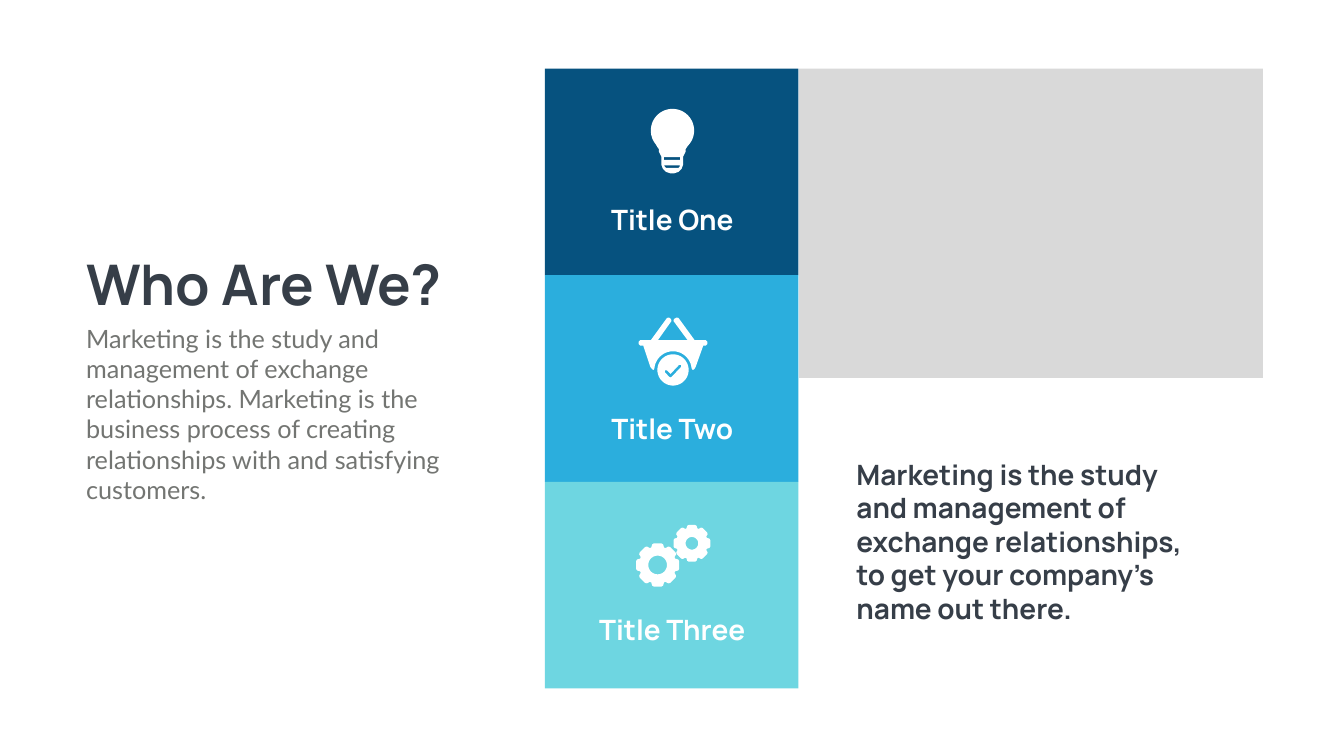
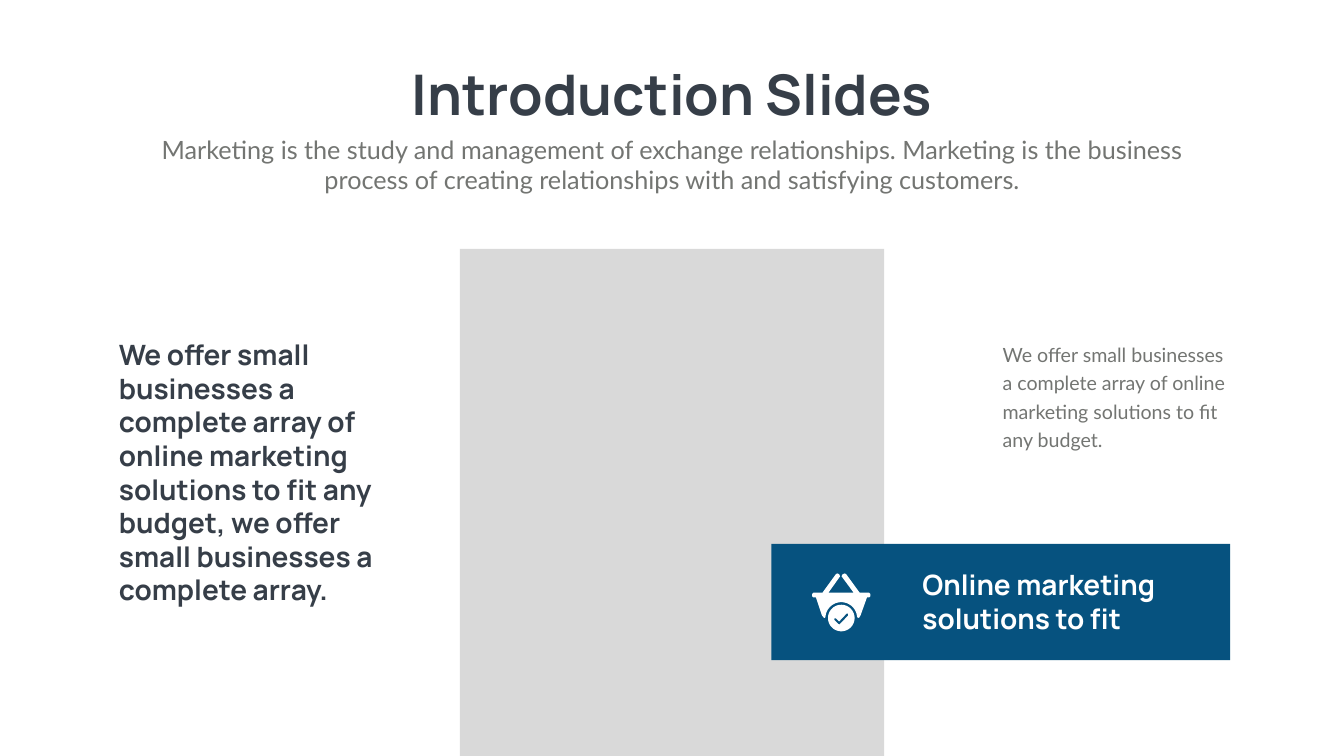
"""Build two introduction slides with colour panels, icons and text."""
from math import cos, radians, sin

from pptx import Presentation
from pptx.dml.color import RGBColor
from pptx.enum.shapes import MSO_SHAPE
from pptx.enum.text import MSO_ANCHOR, MSO_AUTO_SIZE, PP_ALIGN
from pptx.util import Pt

PX = 9144
NAVY, BLUE, AQUA = "06527F", "2BAEDD", "6ED6E1"
WHITE, DARK, GREY, PALE = "FFFFFF", "363E48", "737572", "D9D9D9"
HEAD, BODY = "Manrope", "Lato"
LEFT, MID = PP_ALIGN.LEFT, PP_ALIGN.CENTER


def paint(fill, color):
    fill.solid()
    fill.fore_color.rgb = RGBColor.from_string(color)


def arc(x, y, radius, start=0, stop=360):
    return [(x + radius * cos(radians(a)), y + radius * sin(radians(a)))
            for a in range(start, stop, 5)]


deck = Presentation()
deck.slide_width, deck.slide_height = 2666 * PX, 1500 * PX
about = deck.slides.add_slide(deck.slide_layouts[5])
intro = deck.slides.add_slide(deck.slide_layouts[5])

blocks = [(about, (1081, 136 + 410 * i, 503, 410), color)
          for i, color in enumerate((NAVY, BLUE, AQUA))]
blocks += [
    (about, (1585, 136, 920, 614), PALE),
    (intro, (912, 494, 842, 1006), PALE),
    (intro, (1530, 1079, 910, 231), NAVY),
]
for slide, box, color in blocks:
    block = slide.shapes.add_shape(MSO_SHAPE.RECTANGLE, *[n * PX for n in box])
    block.shadow.inherit = False
    block.line.fill.background()
    paint(block.fill, color)

bulb = [
    arc(43, 43, 43, 140, 401) + [
        (73, 74), (69, 80), (69, 85), (64, 95), (64, 111), (61, 119),
        (55, 125), (46, 128), (39, 128), (30, 125), (24, 119), (21, 111),
        (21, 95), (16, 85), (16, 80), (12, 74)],
    [(26, 96), (58, 96), (58, 101), (26, 101)],
    [(26, 112), (58, 112), (57, 115), (55, 117), (30, 117), (28, 115)],
]
basket = [
    [(133, 46), (111, 46), (79, 2), (75, 1), (70, 4), (69, 8), (97, 46),
     (38, 46), (65, 8), (64, 4), (60, 1), (56, 2), (24, 46), (3, 46),
     (0, 49), (0, 54), (3, 57), (9, 57), (23, 99), (27, 104), (30, 105)]
    + arc(68, 105, 37, 185, 356)
    + [(107, 105), (110, 104), (113, 99), (128, 57), (133, 57),
       (136, 54), (136, 49)],
]
check = [
    arc(68, 105, 31),
    [(84, 99), (65, 119), (63, 120), (61, 119), (52, 110), (52, 106),
     (56, 106), (63, 113), (80, 95), (84, 95)],
]
gears = []
for x, y, rim, hole in ((43.5, 80, 43.5, 18.5), (111.5, 37, 37, 12.5)):
    teeth = []
    for turn in range(0, 360, 45):
        for ratio, angle in ((0.85, -20), (0.97, -15), (1, -10),
                             (1, 10), (0.97, 15), (0.85, 20)):
            teeth += arc(x, y, rim * ratio, turn + angle, turn + angle + 1)
    gears += [teeth, arc(x, y, hole)]

icons = [
    (about, 1291, 216, 1, bulb),
    (about, 1261, 1041, 1, gears),
    (about, 1267, 629, 1, basket),
    (about, 1267, 629, 1, check),
    (intro, 1611, 1137, 0.85, basket),
    (intro, 1611, 1137, 0.85, check),
]
for slide, left, top, zoom, loops in icons:
    pen = None
    for loop in loops:
        points = [(x * 10, y * 10) for x, y in loop]
        if pen is None:
            pen = slide.shapes.build_freeform(*points[0], scale=PX * zoom / 10)
        else:
            pen.move_to(*points[0])
        pen.add_line_segments(points[1:], close=True)
    icon = pen.convert_to_shape(left * PX, top * PX)
    icon.shadow.inherit = False
    icon.line.fill.background()
    paint(icon.fill, WHITE)

pitch = ("Marketing is the study and management of exchange relationships. "
         "Marketing is the business process of creating relationships with "
         "and satisfying customers.")
offer = ("We offer small businesses a complete array of online marketing "
         "solutions to fit any budget")
texts = [
    (about, (161, 490, 780, 145), "Who Are We?", 80, HEAD, DARK, LEFT),
    (about, (161, 636, 780, 374), pitch, 36, BODY, GREY, LEFT),
    (about, (1103, 397, 461, 77), "Title One", 40, HEAD, WHITE, MID),
    (about, (1103, 812, 461, 77), "Title Two", 40, HEAD, WHITE, MID),
    (about, (1103, 1210, 461, 77), "Title Three", 40, HEAD, WHITE, MID),
    (about, (1689, 902, 710, 347),
     "Marketing is the study and management of exchange relationships, "
     "to get your company’s name out there.", 40, HEAD, DARK, LEFT),
    (intro, (780, 114, 1107, 145), "Introduction Slides", 80, HEAD, DARK, MID),
    (intro, (292, 261, 2082, 131), pitch, 36, BODY, GREY, MID),
    (intro, (226, 665, 554, 549),
     offer + ", we offer small businesses a complete array.",
     40, HEAD, DARK, LEFT),
    (intro, (1979, 665, 461, 234), offer + ".", 28, BODY, GREY, LEFT),
    (intro, (1820, 1122, 527, 145), "Online marketing solutions to fit",
     40, HEAD, WHITE, LEFT),
]
for slide, box, words, size, face, color, align in texts:
    place = [n * PX for n in box]
    if size == 80:
        label = slide.shapes.title
        label.left, label.top, label.width, label.height = place
    else:
        label = slide.shapes.add_textbox(*place)
    frame = label.text_frame
    frame.text = words
    frame.word_wrap = True
    frame.auto_size = MSO_AUTO_SIZE.NONE
    frame.vertical_anchor = MSO_ANCHOR.TOP
    line = frame.paragraphs[0]
    line.alignment = align
    if size == 28:
        line.line_spacing = Pt(40.8)
    font = line.runs[0].font
    font.name, font.size, font.bold = face, Pt(size), face == HEAD
    paint(font.fill, color)

deck.save("out.pptx")
